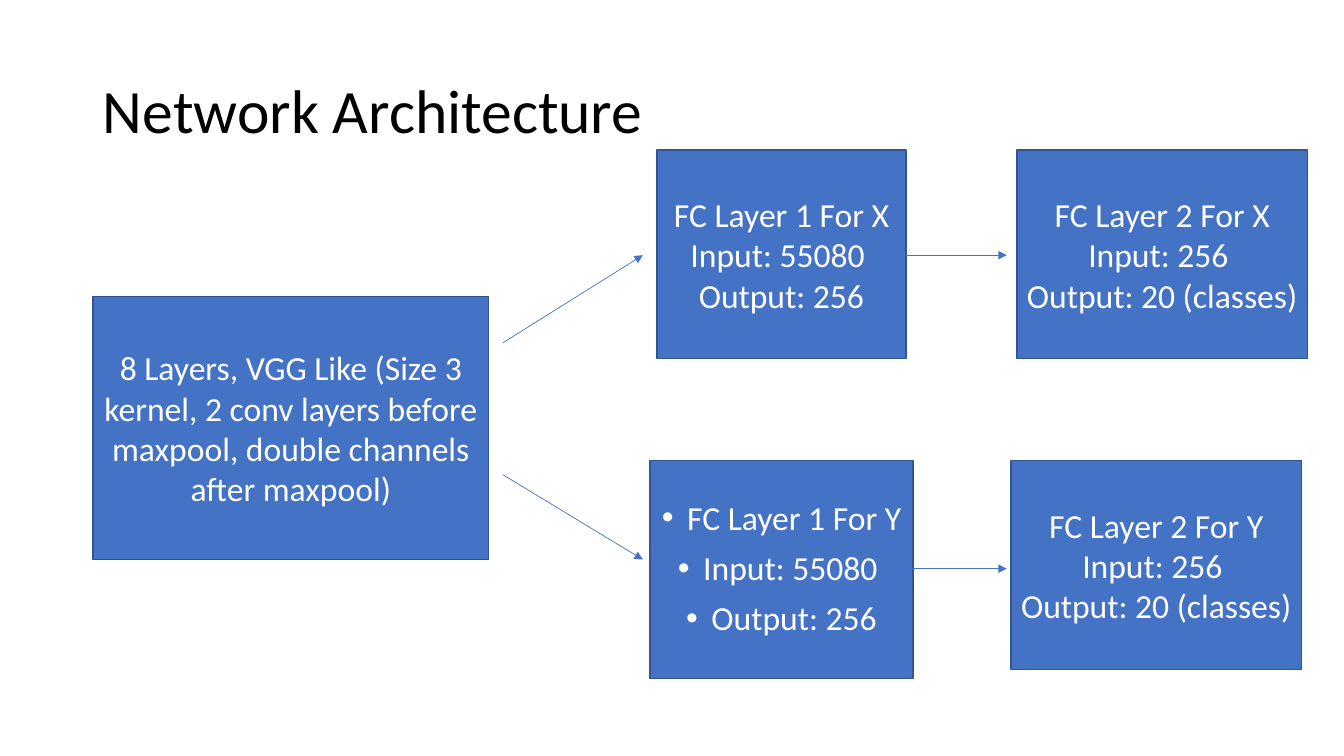
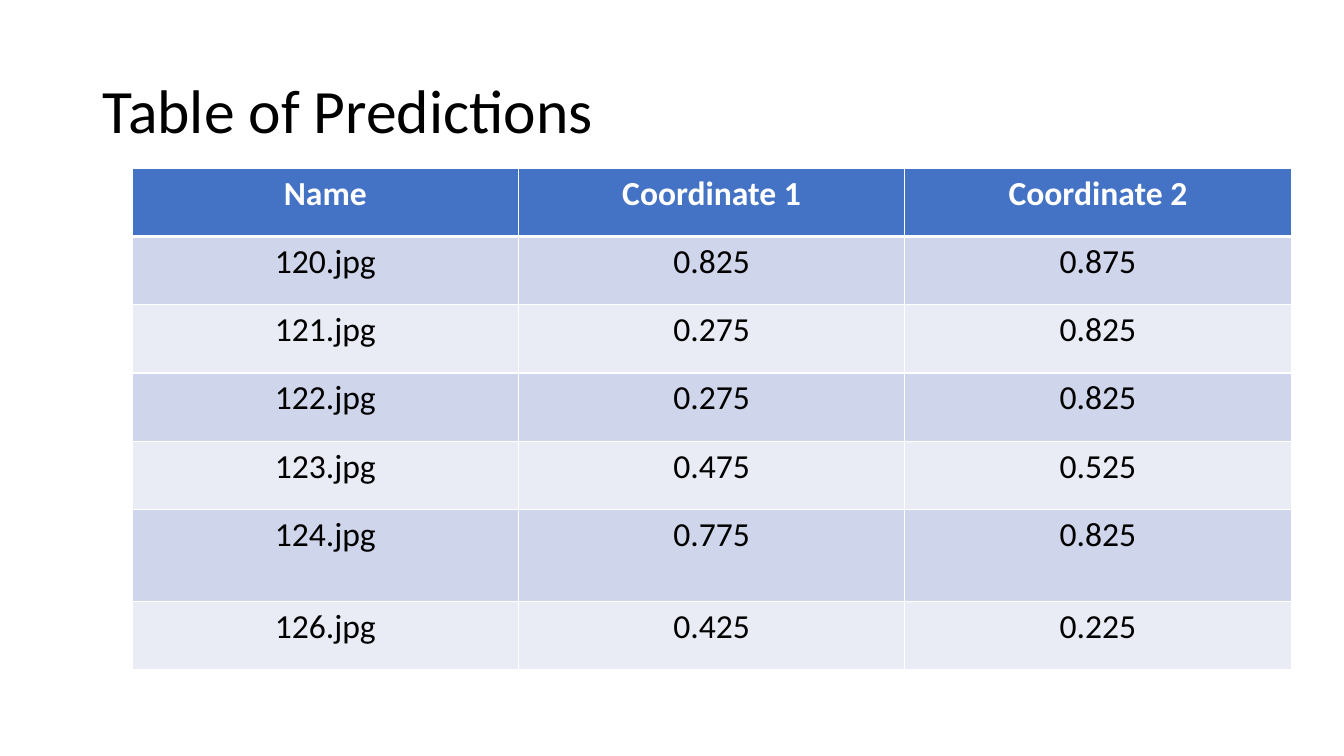
from lxml import etree
from pptx import Presentation
from pptx import util as u
from pptx.dml.color import RGBColor
from pptx.enum import shapes, text
from pptx.oxml.ns import qn

FONT = "Calibri"
BLUE, EDGE, WHITE, BLACK = "4472C4", "325491", "FFFFFF", "000000"
BANDS = ("CFD5EA", "E9EBF5")
BODY_SIZE = 24

TITLE_AREA = (2.34, 1.02, 29.21, 3.68)
UPPER, LOWER = 3.78, 11.61
LAYER_1 = ["Input: 55080 ", "Output: 256"]
LAYER_2 = ["Input: 256 ", "Output: 20 (classes)"]
BACKBONE = ("8 Layers, VGG Like (Size 3 kernel, 2 conv layers before "
            "maxpool, double channels after maxpool)")
BLOCKS = [
    ((2.34, 7.47, 9.98, 6.63), [BACKBONE], False),
    ((16.56, UPPER, 6.27, 5.26), ["FC Layer 1 For X"] + LAYER_1, False),
    ((16.38, LOWER, 6.63, 5.49), ["FC Layer 1 For Y"] + LAYER_1, True),
    ((25.63, UPPER, 7.32, 5.26), ["FC Layer 2 For X"] + LAYER_2, False),
    ((25.48, LOWER, 7.32, 5.26), ["FC Layer 2 For Y"] + LAYER_2, False),
]
ARROWS = [
    (12.67, 8.64, 16.2, 6.43),
    (12.67, 11.96, 16.2, 14.1),
    (22.83, 6.43, 25.37, 6.43),
    (22.83, 14.33, 25.37, 14.33),
]

PREDICTIONS = [
    ("Name", "Coordinate 1", "Coordinate 2"),
    ("120.jpg", "0.825", "0.875"),
    ("121.jpg", "0.275", "0.825"),
    ("122.jpg", "0.275", "0.825"),
    ("123.jpg", "0.475", "0.525"),
    ("124.jpg", "0.775", "0.825"),
    ("126.jpg", "0.425", "0.225"),
]
TABLE_LEFT, TABLE_TOP, TABLE_WIDTH = 3.33, 4.24, 29.21
ROW_HEIGHT, TALL_ROW_HEIGHT, TALL_ROW = 1.72, 2.31, 5


def color(value):
    return RGBColor.from_string(value)


def lengths(values):
    return [u.Cm(value) for value in values]


def fill(target, value):
    target.fill.solid()
    target.fill.fore_color.rgb = color(value)


def style(para, size, value, align, bold=False):
    para.alignment = align
    for span in para.runs:
        span.font.name = FONT
        span.font.size = u.Pt(size)
        span.font.bold = bold
        span.font.color.rgb = color(value)


def add_page(deck, heading):
    page = deck.slides.add_slide(deck.slide_layouts[5])
    title = page.shapes.title
    title.left, title.top, title.width, title.height = lengths(TITLE_AREA)
    frame = title.text_frame
    frame.text = heading
    frame.vertical_anchor = text.MSO_ANCHOR.MIDDLE
    para = frame.paragraphs[0]
    para.line_spacing = 0.9
    style(para, 44, BLACK, text.PP_ALIGN.LEFT)
    return page


def add_bullet(para):
    para.line_spacing = 0.9
    para.space_before = u.Pt(10)
    props = para._p.get_or_add_pPr()
    props.set("marL", str(u.Cm(0.64)))
    props.set("indent", str(-u.Cm(0.64)))
    etree.SubElement(props, qn("a:buFont"), typeface="Arial")
    etree.SubElement(props, qn("a:buChar"), char="•")


def add_block(page, area, lines, bulleted):
    box = page.shapes.add_shape(shapes.MSO_SHAPE.RECTANGLE, *lengths(area))
    box.shadow.inherit = False
    fill(box, BLUE)
    box.line.color.rgb = color(EDGE)
    box.line.width = u.Pt(1)
    frame = box.text_frame
    frame.word_wrap = True
    frame.vertical_anchor = text.MSO_ANCHOR.MIDDLE
    frame.text = "\n".join(lines)
    for para in frame.paragraphs:
        style(para, BODY_SIZE, WHITE, text.PP_ALIGN.CENTER)
        if bulleted:
            add_bullet(para)


def add_arrow(page, ends):
    arrow = page.shapes.add_connector(shapes.MSO_CONNECTOR.STRAIGHT, *lengths(ends))
    arrow.line.color.rgb = color(BLUE)
    arrow.line.width = u.Pt(0.5)
    etree.SubElement(arrow.line._get_or_add_ln(), qn("a:tailEnd"), type="triangle")
    etree.SubElement(arrow._element.spPr, qn("a:effectLst"))


def set_borders(cell, widths):
    props = cell._tc.get_or_add_tcPr()
    for index, (side, width) in enumerate(widths.items()):
        line = etree.Element(qn("a:ln" + side), w=str(u.Pt(width)))
        solid = etree.SubElement(line, qn("a:solidFill"))
        etree.SubElement(solid, qn("a:srgbClr"), val=WHITE)
        props.insert(index, line)


def add_predictions(page):
    heights = [TALL_ROW_HEIGHT if row == TALL_ROW else ROW_HEIGHT
               for row in range(len(PREDICTIONS))]
    area = (TABLE_LEFT, TABLE_TOP, TABLE_WIDTH, sum(heights))
    table = page.shapes.add_table(
        len(PREDICTIONS), len(PREDICTIONS[0]), *lengths(area)).table
    for row, values in enumerate(PREDICTIONS):
        header = row == 0
        table.rows[row].height = u.Cm(heights[row])
        for column, value in enumerate(values):
            cell = table.cell(row, column)
            cell.text = value
            fill(cell, BLUE if header else BANDS[(row - 1) % 2])
            style(cell.text_frame.paragraphs[0], BODY_SIZE,
                  WHITE if header else BLACK, text.PP_ALIGN.CENTER, header)
            set_borders(cell, {"L": 1, "R": 1, "T": 3 if row == 1 else 1,
                               "B": 3 if header else 1})


def main():
    deck = Presentation()
    deck.slide_width, deck.slide_height = u.Cm(33.87), u.Cm(19.05)
    page = add_page(deck, "Network Architecture")
    for block in BLOCKS:
        add_block(page, *block)
    for ends in ARROWS:
        add_arrow(page, ends)
    add_predictions(add_page(deck, "Table of Predictions"))
    deck.save("out.pptx")


if __name__ == "__main__":
    main()
